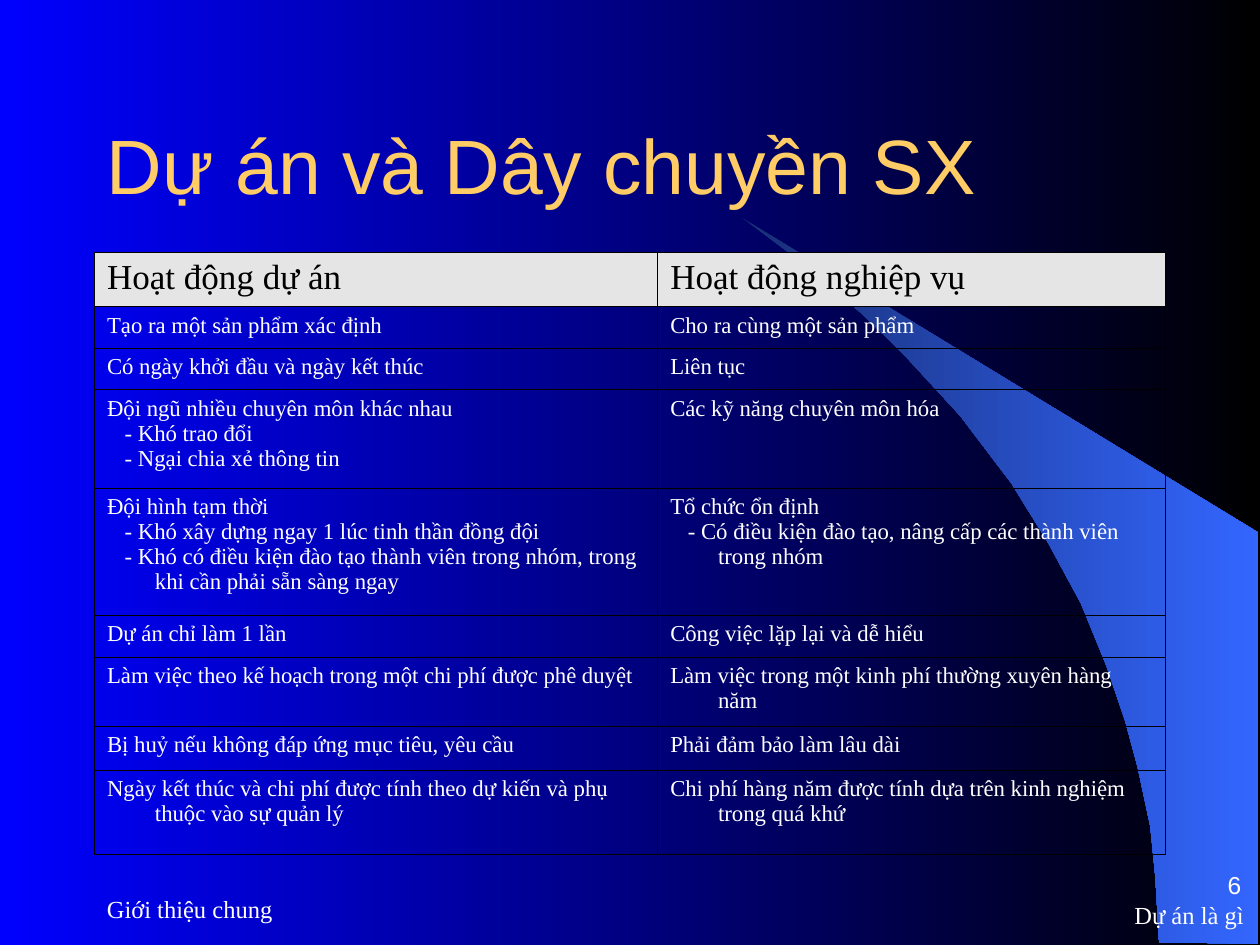
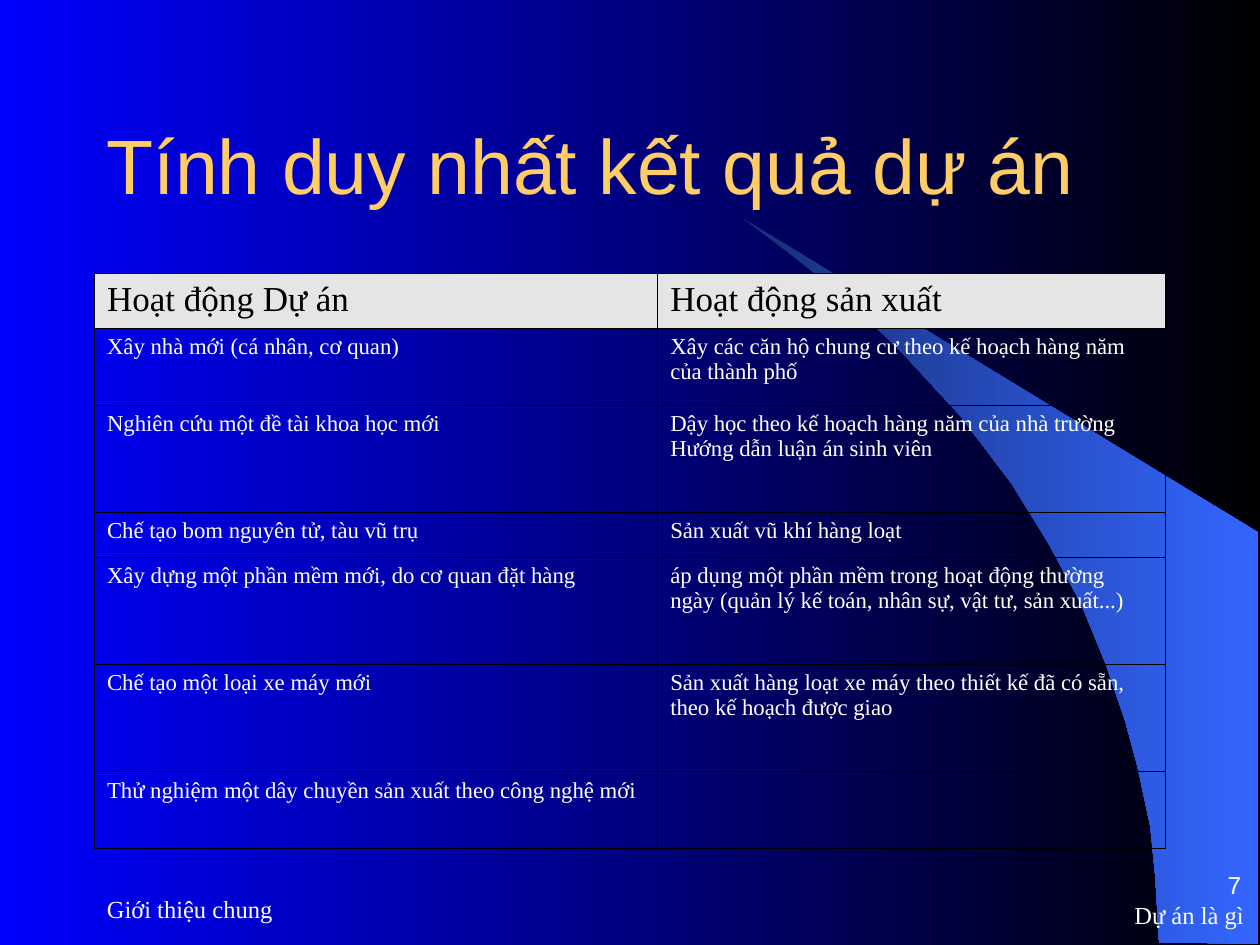
"""Builds two slides that compare project work with routine operations in tables."""
from lxml import etree
from pptx import Presentation, util as u
from pptx.dml.color import RGBColor
from pptx.enum import text
from pptx.oxml.ns import qn

BLUE = RGBColor(0x00, 0x00, 0xFF)
BLACK = RGBColor(0x00, 0x00, 0x00)
NAVY = RGBColor(0x18, 0x2F, 0x76)
SKY = RGBColor(0x33, 0x66, 0xFF)
GOLD = RGBColor(0xFF, 0xCC, 0x66)
WHITE = RGBColor(0xFF, 0xFF, 0xFF)
GREY = RGBColor(0xE5, 0xE5, 0xE5)
SANS, SERIF = "Arial", "Times New Roman"
LEFT, RIGHT = text.PP_ALIGN.LEFT, text.PP_ALIGN.RIGHT
MIDDLE, BOTTOM = text.MSO_ANCHOR.MIDDLE, text.MSO_ANCHOR.BOTTOM

MARGIN = 0.75
COLUMNS = [4.47, 4.03]
HANG = 0.38
DASH_INDENT = 0.14
SWOOSH = [(9.2, 7.48), (9.99, 7.49), (9.99, 4.23), (5.89, 1.73), (6.24, 1.99),
          (6.53, 2.22), (6.85, 2.5), (7.16, 2.8), (7.62, 3.3), (8.03, 3.84),
          (8.32, 4.31), (8.58, 4.79), (8.78, 5.28), (8.93, 5.72), (9.03, 6.09),
          (9.13, 6.56), (9.17, 6.96)]

SLIDES = [
    dict(number="6", title="Dự án và Dây chuyền SX", top=2, hang=HANG,
         heights=[0.43, 0.33, 0.33, 0.78, 1.01, 0.33, 0.55, 0.35, 0.67],
         rows=[
             ("Hoạt động dự án", "Hoạt động nghiệp vụ"),
             ("Tạo ra một sản phẩm xác định", "Cho ra cùng một sản phẩm"),
             ("Có ngày khởi đầu và ngày kết thúc", "Liên tục"),
             ("Đội ngũ nhiều chuyên môn khác nhau\n- Khó trao đổi\n- Ngại chia xẻ thông tin",
              "Các kỹ năng chuyên môn hóa"),
             ("Đội hình tạm thời\n- Khó xây dựng ngay 1 lúc tinh thần đồng đội\n"
              "- Khó có điều kiện đào tạo thành viên trong nhóm, trong khi cần phải sẵn sàng ngay",
              "Tổ chức ổn định\n- Có điều kiện đào tạo, nâng cấp các thành viên trong nhóm"),
             ("Dự án chỉ làm 1 lần", "Công việc lặp lại và dễ hiểu"),
             ("Làm việc theo kế hoạch trong một chi phí được phê duyệt",
              "Làm việc trong một kinh phí thường xuyên hàng năm"),
             ("Bị huỷ nếu không đáp ứng mục tiêu, yêu cầu", "Phải đảm bảo làm lâu dài"),
             ("Ngày kết thúc và chi phí được tính theo dự kiến và phụ thuộc vào sự quản lý",
              "Chi phí hàng năm được tính dựa trên kinh nghiệm trong quá khứ"),
         ]),
    dict(number="7", title="Tính duy nhất kết quả dự án", top=2.17, hang=0,
         heights=[0.43, 0.61, 0.85, 0.36, 0.85, 0.85, 0.61],
         rows=[
             ("Hoạt động Dự án", "Hoạt động sản xuất"),
             ("Xây nhà mới (cá nhân, cơ quan)",
              "Xây các căn hộ chung cư theo kế hoạch hàng năm của thành phố"),
             ("Nghiên cứu một đề tài khoa học mới",
              "Dậy học theo kế hoạch hàng năm của nhà trường\nHướng dẫn luận án sinh viên"),
             ("Chế tạo bom nguyên tử, tàu vũ trụ", "Sản xuất vũ khí hàng loạt"),
             ("Xây dựng một phần mềm mới, do cơ quan đặt hàng",
              "áp dụng một phần mềm trong hoạt động thường ngày "
              "(quản lý kế toán, nhân sự, vật tư, sản xuất...)"),
             ("Chế tạo một loại xe máy mới",
              "Sản xuất hàng loạt xe máy theo thiết kế đã có sẵn, theo kế hoạch được giao"),
             ("Thử nghiệm một dây chuyền sản xuất theo công nghệ mới", ""),
         ]),
]


def set_gradient(fill, start, end):
    fill.gradient()
    fill.gradient_angle = 0
    for stop, color, position in zip(fill.gradient_stops, (start, end), (0, 1)):
        stop.color.rgb = color
        stop.position = position


def add_run(p, content, size, font, color):
    r = p.add_run()
    r.text = content
    r.font.size = u.Pt(size)
    r.font.name = font
    r.font.color.rgb = color


prs = Presentation()
prs.slide_width, prs.slide_height = u.Inches(10), u.Inches(7.5)

for page in SLIDES:
    s = prs.slides.add_slide(prs.slide_layouts[6])
    set_gradient(s.background.fill, BLUE, BLACK)

    points = [(u.Inches(x), u.Inches(y)) for x, y in SWOOSH]
    builder = s.shapes.build_freeform(*points[0])
    builder.add_line_segments(points[1:], close=True)
    sp = builder.convert_to_shape()
    sp.shadow.inherit = False
    set_gradient(sp.fill, NAVY, SKY)
    sp.line.fill.background()

    for content, box, size, font, color, align, anchor, inset in [
        ("Dự án là gì", (7.89, 7.05, 2.08, 0.42), 14, SERIF, WHITE, RIGHT, MIDDLE, 0.05),
        ("Giới thiệu chung", (MARGIN, 6.96, 4.67, 0.5), 14, SERIF, WHITE, LEFT, MIDDLE, 0.05),
        (page["number"], (7.87, 6.72, 2.08, 0.42), 14, SANS, WHITE, RIGHT, BOTTOM, 0),
        (page["title"], (MARGIN, 0.67, 8.84, 1.25), 44, SANS, GOLD, LEFT, MIDDLE, 0.05),
    ]:
        tf = s.shapes.add_textbox(*map(u.Inches, box)).text_frame
        tf.word_wrap = True
        tf.vertical_anchor = anchor
        tf.margin_top = tf.margin_bottom = u.Inches(inset)
        p = tf.paragraphs[0]
        p.alignment = align
        add_run(p, content, size, font, color)

    heights = page["heights"]
    table = s.shapes.add_table(
        len(heights), len(COLUMNS), u.Inches(MARGIN), u.Inches(page["top"]),
        u.Inches(sum(COLUMNS)), u.Inches(sum(heights))).table
    table.first_row = table.horz_banding = False
    for column, width in zip(table.columns, COLUMNS):
        column.width = u.Inches(width)

    for i, (height, row) in enumerate(zip(heights, page["rows"])):
        table.rows[i].height = u.Inches(height)
        size, color = (20, BLACK) if i == 0 else (13, WHITE)
        for j, content in enumerate(row):
            cell = table.cell(i, j)
            tf = cell.text_frame
            for k, line in enumerate(content.split("\n")):
                p = tf.add_paragraph() if k else tf.paragraphs[0]
                p.font.size = u.Pt(size)
                if page["hang"]:
                    first = DASH_INDENT if line.startswith("-") else 0
                    pPr = p._p.get_or_add_pPr()
                    pPr.set("marL", str(u.Inches(page["hang"])))
                    pPr.set("indent", str(u.Inches(first - page["hang"])))
                if line:
                    add_run(p, line, size, SERIF, color)

            tcPr = cell._tc.get_or_add_tcPr()
            for side in ("a:lnL", "a:lnR", "a:lnT", "a:lnB"):
                ln = etree.SubElement(tcPr, qn(side), w=str(u.Pt(0.45)))
                solid = etree.SubElement(ln, qn("a:solidFill"))
                etree.SubElement(solid, qn("a:srgbClr"), val=str(BLACK))
            if i == 0:
                cell.fill.solid()
                cell.fill.fore_color.rgb = GREY
            else:
                cell.fill.background()

prs.save("out.pptx")
